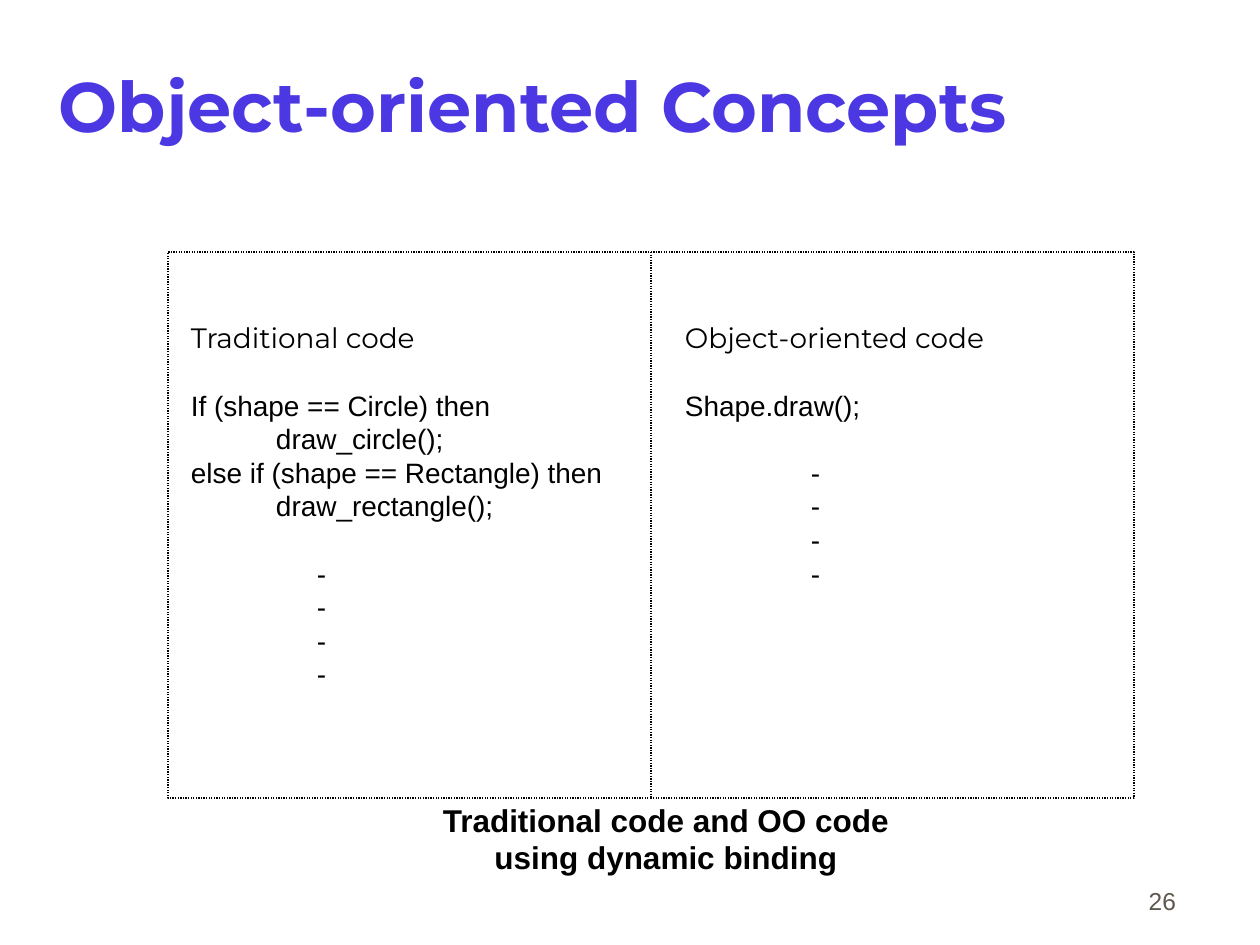
from dataclasses import dataclass

from pptx import Presentation
from pptx import util as u
from pptx.dml.color import RGBColor
from pptx.enum import dml, shapes, text
from pptx.oxml import parse_xml
from pptx.oxml.ns import nsdecls

PX_PER_INCH = 126


def px(length: int) -> u.Emu:
    return u.Emu(round(length * u.Inches(1) / PX_PER_INCH))


@dataclass(frozen=True)
class Theme:
    title_color: RGBColor = RGBColor(0x4C, 0x38, 0xE2)
    ink: RGBColor = RGBColor(0, 0, 0)
    muted: RGBColor = RGBColor(0x5E, 0x57, 0x4E)
    heading_font: str = "Montserrat"
    body_font: str = "Arial"
    title_size: int = 40
    caption_size: int = 18
    code_size: int = 16
    number_size: int = 14
    line_pitch: float = 19.2
    line_width: float = 0.75


THEME = Theme()


@dataclass(frozen=True)
class Box:
    left: int
    top: int
    width: int
    height: int
    inset_x: int = 13
    inset_y: int = 6
    anchor: text.MSO_ANCHOR = text.MSO_ANCHOR.TOP
    wrap: bool = True


@dataclass(frozen=True)
class Style:
    font: str
    size: int
    color: RGBColor
    bold: bool = False
    align: text.PP_ALIGN = text.PP_ALIGN.LEFT


@dataclass(frozen=True)
class CodePanel:
    box: Box
    heading: str
    code: tuple[str, ...]


HEADING = Style(THEME.heading_font, THEME.code_size, THEME.ink)
CODE = Style(THEME.body_font, THEME.code_size, THEME.ink)
CONTINUATION = ("-",) * 4
CONTINUATION_INDENT = 126

FRAME = Box(168, 252, 966, 546)
PANELS = (
    CodePanel(
        Box(178, 315, 452, 483),
        "Traditional code",
        (
            "If (shape == Circle) then",
            "           draw_circle();",
            "else if (shape == Rectangle) then",
            "           draw_rectangle();",
        ),
    ),
    CodePanel(Box(672, 315, 452, 382), "Object-oriented code", ("Shape.draw();",)),
)


def add_text_frame(slide, box: Box):
    shape = slide.shapes.add_textbox(px(box.left), px(box.top), px(box.width), px(box.height))
    frame = shape.text_frame
    frame.word_wrap = box.wrap
    frame.vertical_anchor = box.anchor
    frame.margin_left = frame.margin_right = px(box.inset_x)
    frame.margin_top = frame.margin_bottom = px(box.inset_y)
    return frame


def format_paragraph(paragraph, style: Style) -> None:
    paragraph.alignment = style.align
    for run in paragraph.runs:
        run.font.name = style.font
        run.font.size = u.Pt(style.size)
        run.font.bold = style.bold
        run.font.color.rgb = style.color


def add_label(slide, box: Box, content: str, style: Style) -> None:
    frame = add_text_frame(slide, box)
    frame.text = content
    format_paragraph(frame.paragraphs[0], style)


def add_code_panel(slide, panel: CodePanel) -> None:
    """Draw heading, code and continuation dashes, one line apart from each other."""
    frame = add_text_frame(slide, panel.box)
    sections = (
        ((panel.heading,), HEADING, 0),
        (panel.code, CODE, 0),
        (CONTINUATION, CODE, CONTINUATION_INDENT),
    )
    for section, (lines, style, indent) in enumerate(sections):
        for index, line in enumerate(lines):
            paragraph = frame.add_paragraph() if section else frame.paragraphs[0]
            paragraph.text = line
            paragraph.line_spacing = u.Pt(THEME.line_pitch)
            if section and index == 0:
                paragraph.space_before = u.Pt(THEME.line_pitch)
            if indent:
                paragraph._p.get_or_add_pPr().set("marL", str(px(indent)))
            format_paragraph(paragraph, style)


def format_line(line) -> None:
    line.color.rgb = THEME.ink
    line.width = u.Pt(THEME.line_width)
    line.dash_style = dml.MSO_LINE.ROUND_DOT


def add_divided_frame(slide, box: Box) -> None:
    frame = slide.shapes.add_shape(
        shapes.MSO_SHAPE.RECTANGLE, px(box.left), px(box.top), px(box.width), px(box.height)
    )
    frame.shadow.inherit = False
    frame.fill.background()
    format_line(frame.line)

    middle = px(box.left + box.width // 2)
    divider = slide.shapes.add_connector(
        shapes.MSO_CONNECTOR.STRAIGHT, middle, px(box.top), middle, px(box.top + box.height)
    )
    divider.begin_connect(frame, 0)
    divider.end_connect(frame, 2)
    format_line(divider.line)
    divider._element.spPr.append(parse_xml(f"<a:effectLst {nsdecls('a')}/>"))


def main() -> None:
    presentation = Presentation()
    presentation.slide_width, presentation.slide_height = px(1260), px(945)
    slide = presentation.slides.add_slide(presentation.slide_layouts[6])

    add_label(
        slide,
        Box(927, 858, 262, 63, anchor=text.MSO_ANCHOR.BOTTOM),
        "26",
        Style(THEME.body_font, THEME.number_size, THEME.muted, align=text.PP_ALIGN.RIGHT),
    )
    add_label(
        slide,
        Box(56, 26, 1071, 157, inset_x=3, anchor=text.MSO_ANCHOR.MIDDLE),
        "Object-oriented Concepts",
        Style(THEME.heading_font, THEME.title_size, THEME.title_color, bold=True),
    )
    add_divided_frame(slide, FRAME)
    for panel in PANELS:
        add_code_panel(slide, panel)
    add_label(
        slide,
        Box(430, 815, 472, 47, 0, 0, text.MSO_ANCHOR.MIDDLE, wrap=False),
        "Traditional code and OO code using dynamic binding",
        Style(THEME.body_font, THEME.caption_size, THEME.ink, True, text.PP_ALIGN.CENTER),
    )
    presentation.save("out.pptx")


if __name__ == "__main__":
    main()
